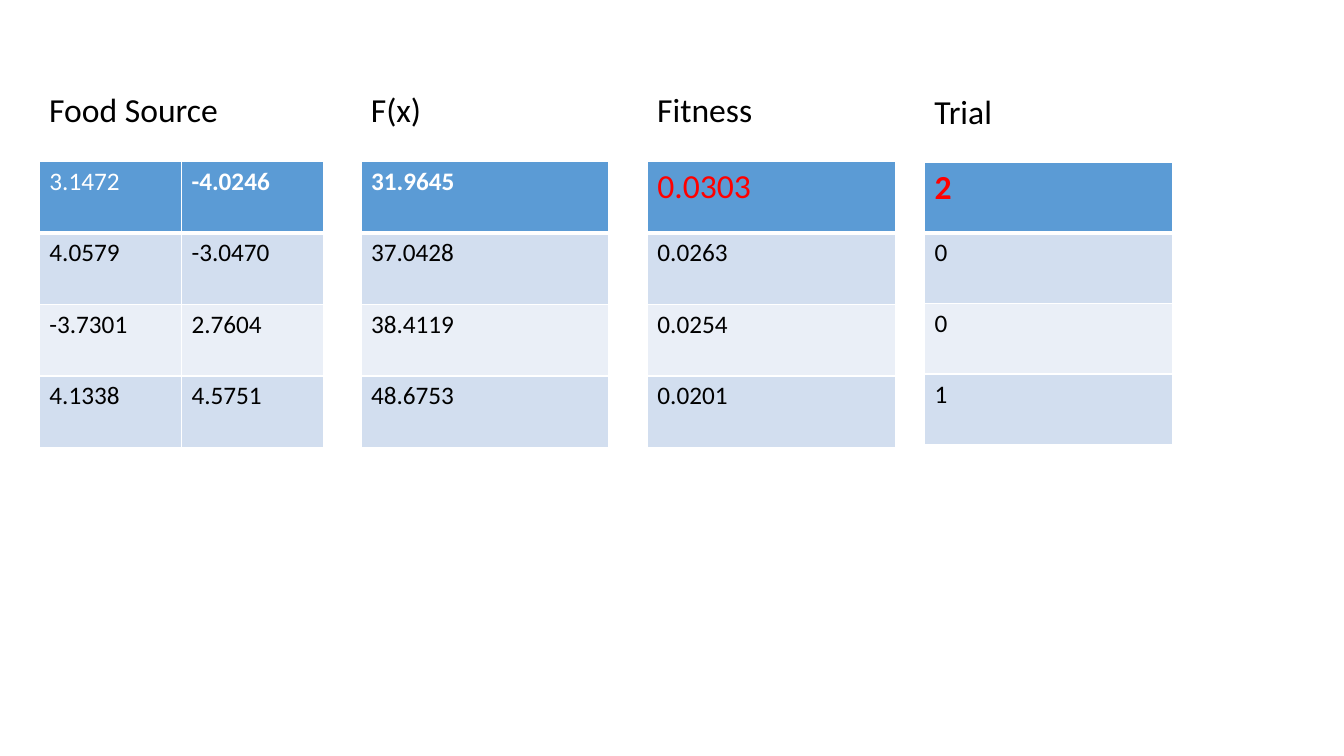
from lxml import etree
from pptx import Presentation
from pptx.dml.color import RGBColor
from pptx.enum.text import MSO_AUTO_SIZE
from pptx.oxml.ns import qn
from pptx.util import Inches, Pt

FIT_SHAPE = MSO_AUTO_SIZE.SHAPE_TO_FIT_TEXT
FONT = "Calibri"
WHITE, BLACK, RED = "FFFFFF", "000000", "FF0000"
HEADER_FILL = "5B9BD5"
BAND_FILLS = ("D2DEEF", "EAEFF7")
HEADING_HEIGHT = 0.5
HEADING_WIDTH = 2.3
PLAIN = {"color": WHITE}
BOLD = {"color": WHITE, "bold": True}
LARGE_RED = {"color": RED, "size": 24}

COLUMNS = [
    {"heading": "Food Source", "left": 0.39, "top": 0.83, "table_top": 1.6,
     "cell_width": 1.41, "row_height": 0.71, "header_formats": [PLAIN, BOLD],
     "rows": [["3.1472", "-4.0246"], ["4.0579", "-3.0470"],
              ["-3.7301", "2.7604"], ["4.1338", "4.5751"]]},
    {"heading": "F(x)", "left": 3.58, "top": 0.83, "table_top": 1.6,
     "cell_width": 2.46, "row_height": 0.71, "header_formats": [BOLD],
     "rows": [["31.9645"], ["37.0428"], ["38.4119"], ["48.6753"]]},
    {"heading": "Fitness", "left": 6.42, "top": 0.83, "table_top": 1.6,
     "cell_width": 2.46, "row_height": 0.71, "header_formats": [LARGE_RED],
     "rows": [["0.0303"], ["0.0263"], ["0.0254"], ["0.0201"]]},
    {"heading": "Trial", "left": 9.17, "top": 0.85, "table_top": 1.61,
     "cell_width": 2.46, "row_height": 0.7,
     "header_formats": [{**LARGE_RED, "bold": True}],
     "rows": [["2"], ["0"], ["0"], ["1"]]},
]


def rgb(value):
    return RGBColor.from_string(value)


def write_text(text_frame, text, size=18, color=BLACK, bold=False):
    run = text_frame.paragraphs[0].add_run()
    run.text = text
    run.font.name = FONT
    run.font.size = Pt(size)
    run.font.bold = bold
    run.font.color.rgb = rgb(color)


def set_borders(cell, **widths):
    properties = cell._tc.get_or_add_tcPr()
    for side in ("L", "R", "T", "B"):
        line = etree.SubElement(properties, qn(f"a:ln{side}"),
                                w=str(Pt(widths.get(side, 1))))
        fill = etree.SubElement(line, qn("a:solidFill"))
        etree.SubElement(fill, qn("a:srgbClr"), val=WHITE)


def add_heading(slide, text, left, top):
    shape = slide.shapes.add_textbox(Inches(left), Inches(top),
                                     Inches(HEADING_WIDTH), Inches(HEADING_HEIGHT))
    shape.text_frame.word_wrap = True
    shape.text_frame.auto_size = FIT_SHAPE
    write_text(shape.text_frame, text, size=24)


def add_values(slide, rows, left, top, cell_width, row_height, header_formats):
    column_count = len(rows[0])
    table = slide.shapes.add_table(
        len(rows), column_count, Inches(left), Inches(top),
        Inches(cell_width * column_count), Inches(row_height * len(rows))).table
    for row_index, values in enumerate(rows):
        table.rows[row_index].height = Inches(row_height)
        for column_index, value in enumerate(values):
            cell = table.cell(row_index, column_index)
            if row_index == 0:
                set_borders(cell, B=3)
                fill, text_format = HEADER_FILL, header_formats[column_index]
            else:
                set_borders(cell, T=3 if row_index == 1 else 1)
                fill, text_format = BAND_FILLS[(row_index - 1) % 2], {}
            cell.fill.solid()
            cell.fill.fore_color.rgb = rgb(fill)
            write_text(cell.text_frame, value, **text_format)


def add_column(slide, heading, left, top, table_top, **table_format):
    add_values(slide, left=left, top=table_top, **table_format)
    add_heading(slide, heading, left, top)


def main():
    presentation = Presentation()
    presentation.slide_width = Inches(13.33)
    presentation.slide_height = Inches(7.5)
    slide = presentation.slides.add_slide(presentation.slide_layouts[6])
    for column in COLUMNS:
        add_column(slide, **column)
    presentation.save("out.pptx")


if __name__ == "__main__":
    main()
